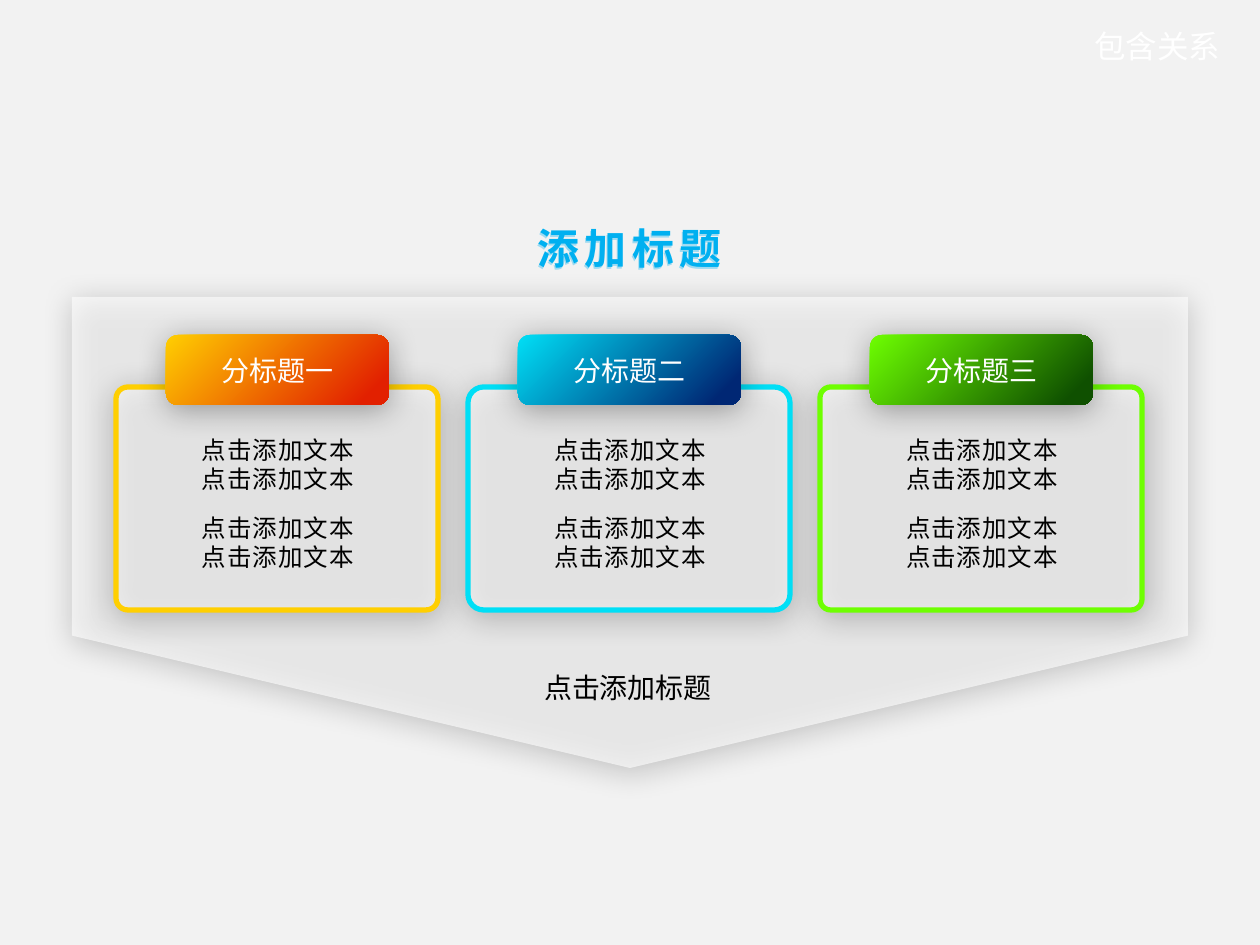
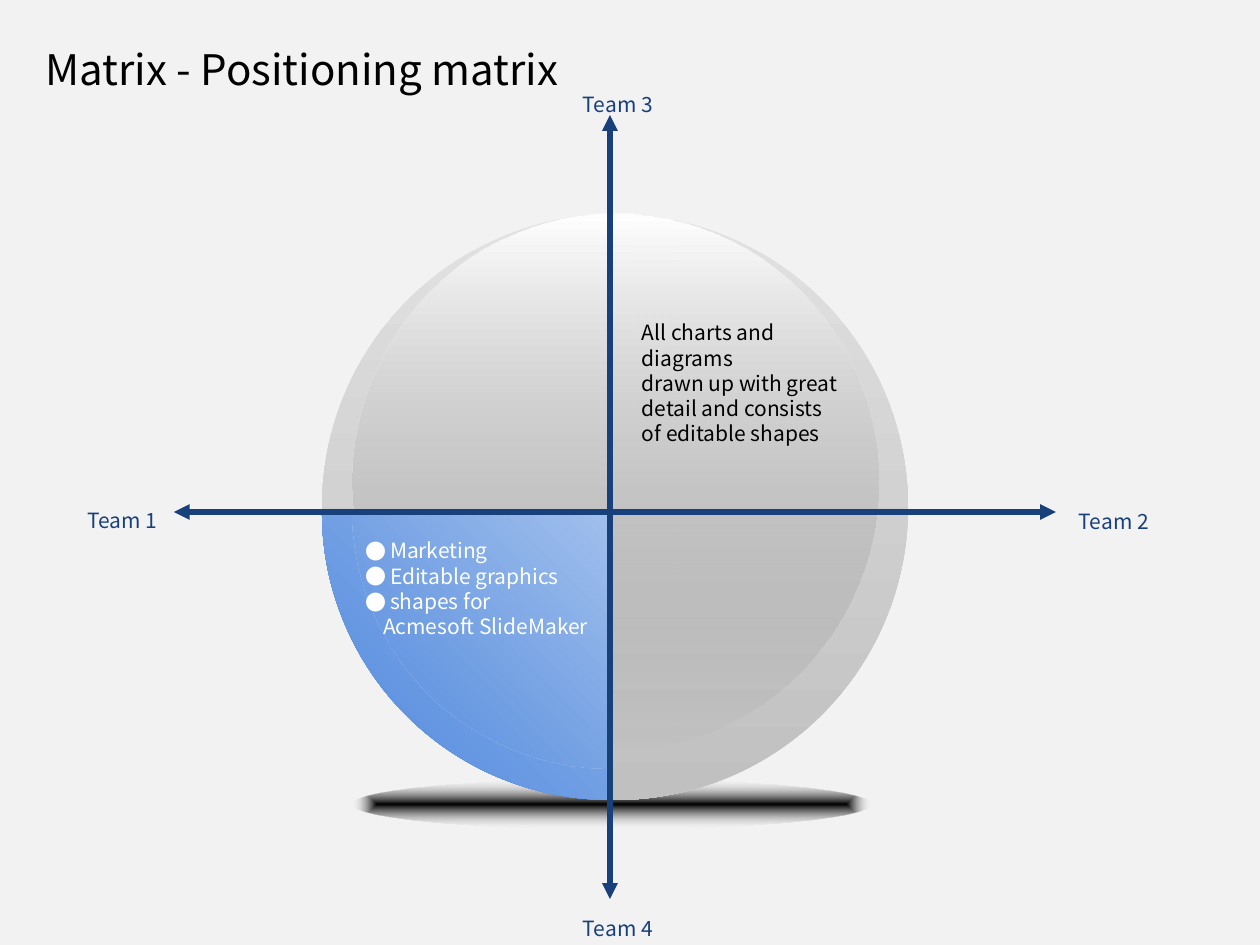
from math import cos, radians, sin

from pptx import Presentation
from pptx.dml.color import RGBColor
from pptx.enum.shapes import MSO_CONNECTOR, MSO_SHAPE
from pptx.enum.text import MSO_ANCHOR, PP_ALIGN
from pptx.oxml import parse_xml
from pptx.oxml.ns import nsdecls, qn
from pptx.util import Inches, Pt

PX = Inches(1) // 126

PALE = RGBColor(0xF2, 0xF2, 0xF2)
WHITE = RGBColor(0xFF, 0xFF, 0xFF)
BLACK = RGBColor(0x00, 0x00, 0x00)
SKY = RGBColor(0x00, 0xB0, 0xF0)
NAVY = RGBColor(0x18, 0x40, 0x7B)
YELLOW = RGBColor(0xFF, 0xCF, 0x01)
RED = RGBColor(0xE2, 0x20, 0x00)
CYAN = RGBColor(0x00, 0xDF, 0xF6)
DEEP_BLUE = RGBColor(0x00, 0x27, 0x74)
LIME = RGBColor(0x6E, 0xFF, 0x01)
DARK_GREEN = RGBColor(0x0F, 0x50, 0x00)
BLUE = RGBColor(0x4F, 0x88, 0xDD)
MID_BLUE = RGBColor(0x92, 0xB5, 0xEA)
SOFT_BLUE = RGBColor(0xA7, 0xC4, 0xEE)
HAZE = RGBColor(0xEA, 0xEA, 0xEA)
SILVER = RGBColor(0xE1, 0xE1, 0xE1)
GREY = RGBColor(0xC0, 0xC0, 0xC0)
DARK_GREY = RGBColor(0x76, 0x76, 0x76)

CHINESE = "Noto Sans CJK SC"
LATIN = "Noto Sans CJK KR"
CENTER = {"alignment": PP_ALIGN.CENTER}
MIDDLE = {"vertical_anchor": MSO_ANCHOR.MIDDLE}


def set_all(target, values):
    for name, value in values.items():
        setattr(target, name, value)


def emu(*lengths):
    return [round(length * PX) for length in lengths]


def place(shape, box):
    set_all(shape, dict(zip(("left", "top", "width", "height"), emu(*box))))


def color_xml(color, alpha=100):
    return f'<a:srgbClr val="{color}"><a:alpha val="{alpha * 1000}"/></a:srgbClr>'


def replace_fill(shape, xml):
    shape.fill.background()
    properties = shape._element.spPr
    properties.replace(properties.find(qn("a:noFill")), parse_xml(xml))


def fill_clear(shape, color, alpha):
    replace_fill(shape, f'<a:solidFill {nsdecls("a")}>{color_xml(color, alpha)}</a:solidFill>')


def fill_gradient(shape, stops, angle=None):
    """Fill with (position, color, alpha) stops; without an angle the fill follows the outline."""
    colors = "".join(f'<a:gs pos="{position * 1000}">{color_xml(*color)}</a:gs>'
                     for position, *color in stops)
    if angle is None:
        course = ('<a:path path="shape"><a:fillToRect l="50000" t="50000" '
                  'r="50000" b="50000"/></a:path>')
    else:
        course = f'<a:lin ang="{angle * 60000}" scaled="0"/>'
    replace_fill(shape, f'<a:gradFill {nsdecls("a")} rotWithShape="1">'
                        f'<a:gsLst>{colors}</a:gsLst>{course}</a:gradFill>')


def cast_shadow(shape, color=BLACK, alpha=33, blur=17.8, distance=3, angle=87):
    shape.shadow.inherit = False
    effects = shape._element.spPr.find(qn("a:effectLst"))
    effects.append(parse_xml(
        f'<a:outerShdw {nsdecls("a")} blurRad="{Pt(blur)}" dist="{Pt(distance)}" '
        f'dir="{angle * 60000}" algn="ctr" rotWithShape="0">{color_xml(color, alpha)}</a:outerShdw>'))


def add_plain(slide, kind, box, adjust=None):
    shape = slide.shapes.add_shape(kind, *emu(*box))
    shape.shadow.inherit = False
    shape.line.fill.background()
    if adjust is not None:
        shape.adjustments[0] = adjust
    return shape


def write(shape, lines, size, color, font, paragraph=None, frame=None, bold=False, spacing=0):
    """Write one paragraph for each line, without insets."""
    text = shape.text_frame
    text.text = "\n".join(lines)
    set_all(text, {"word_wrap": True, "margin_left": 0, "margin_right": 0, "margin_top": 0,
                   "margin_bottom": 0, "vertical_anchor": MSO_ANCHOR.TOP, **(frame or {})})
    for para in text.paragraphs:
        set_all(para, {"space_before": Pt(0), "line_spacing": 1.0,
                       "alignment": PP_ALIGN.LEFT, **(paragraph or {})})
        for span in para.runs:
            set_all(span.font, {"size": Pt(size), "bold": bold, "name": font})
            span.font.color.rgb = color
            properties = span.font._element
            properties.set("spc", str(round(spacing * 100)))
            properties.append(parse_xml(f'<a:ea {nsdecls("a")} typeface="{font}"/>'))


def add_text(slide, box, lines, *args, **options):
    write(slide.shapes.add_textbox(*emu(*box)), lines, *args, **options)


def add_title(slide, box, text, *args, **options):
    title = slide.shapes.title
    place(title, box)
    write(title, [text], *args, **options)
    return title


def set_bullet(para, indent, char=None):
    properties = para._p.get_or_add_pPr()
    properties.set("marL", str(indent * PX))
    properties.set("indent", str(-indent * PX if char else 0))
    if char:
        marks = [f'buFont {nsdecls("a")} typeface="{LATIN}"', f'buChar {nsdecls("a")} char="{char}"']
    else:
        marks = [f'buNone {nsdecls("a")}']
    for mark in marks:
        properties.append(parse_xml(f"<a:{mark}/>"))


def add_down_arrow_panel(slide, left, top, width, height):
    """A pentagon whose tip points down, fitted to the box after its quarter turn."""
    shift = (width - height) / 2
    panel = add_plain(slide, MSO_SHAPE.PENTAGON,
                      (left + shift, top - shift, height, width), 0.281)
    panel.rotation = 90
    fill_clear(panel, WHITE, 60)
    cast_shadow(panel)


def add_card(slide, left, top, heading, start, end, corner):
    frame = add_plain(slide, MSO_SHAPE.ROUNDED_RECTANGLE, (left, top + 52, 322, 223), corner)
    fill_clear(frame, WHITE, 60)
    frame.line.color.rgb = start
    frame.line.width = Pt(3)
    cast_shadow(frame)
    tag = add_plain(slide, MSO_SHAPE.ROUNDED_RECTANGLE, (left + 50, top, 223, 70))
    fill_gradient(tag, [(0, start), (90, end)], 45)
    cast_shadow(tag)
    write(tag, [heading], 16, WHITE, CHINESE, CENTER, MIDDLE)
    for block in range(2):
        add_text(slide, (left + 5, top + 100 + 78 * block, 314, 60), ["点击添加文本"] * 2,
                 14, BLACK, CHINESE, CENTER, spacing=0.5)


def build_inclusion(deck):
    slide = deck.slides.add_slide(deck.slide_layouts[5])
    title = add_title(slide, (336, 216, 587, 63), "添加标题", 24, SKY, CHINESE,
                      CENTER, MIDDLE, bold=True, spacing=3)
    cast_shadow(title, SKY, 35, 0, 1.5, 110)
    add_text(slide, (1020, 23, 200, 45), ["包含关系"], 18, WHITE, CHINESE,
             {"alignment": PP_ALIGN.RIGHT}, MIDDLE)
    add_down_arrow_panel(slide, 72, 297, 1116, 471)
    cards = [("分标题一", YELLOW, RED, 0.053),
             ("分标题二", CYAN, DEEP_BLUE, 0.07),
             ("分标题三", LIME, DARK_GREEN, 0.048)]
    for index, card in enumerate(cards):
        add_card(slide, 116 + 352 * index, 335, *card)
    add_text(slide, (414, 664, 428, 47), ["点击添加标题"], 16, BLACK, CHINESE, CENTER, MIDDLE)


def add_sector(slide, center_x, center_y, radius, stops):
    """The lower left quarter of a disc."""
    arc = [(center_x + radius * cos(radians(angle)), center_y + radius * sin(radians(angle)))
           for angle in range(90, 181, 2)]
    builder = slide.shapes.build_freeform(*emu(center_x, center_y))
    builder.add_line_segments([emu(*point) for point in arc], close=True)
    sector = builder.convert_to_shape()
    sector.shadow.inherit = False
    sector.line.fill.background()
    fill_gradient(sector, stops, 315)


def add_axis(slide, *ends):
    axis = slide.shapes.add_connector(MSO_CONNECTOR.STRAIGHT, *emu(*ends))
    axis.line.color.rgb = NAVY
    axis.line.width = Pt(3)
    for end in ("headEnd", "tailEnd"):
        axis.line._ln.append(parse_xml(f'<a:{end} {nsdecls("a")} type="triangle"/>'))
    axis._element.spPr.append(parse_xml(f'<a:effectLst {nsdecls("a")}/>'))


def add_globe(slide, left, top, size):
    ovals = [((left + 31, top + 566, 517, 49), [(0, BLACK), (100, HAZE, 0)], None),
             ((left, top, size, size), [(0, SILVER), (100, GREY)], 90),
             ((left + 31, top, 525, 536), [(0, WHITE), (100, DARK_GREY, 0)], 90)]
    for box, stops, angle in ovals:
        fill_gradient(add_plain(slide, MSO_SHAPE.OVAL, box), stops, angle)
    center = left + 288, top + 298
    add_sector(slide, *center, 288, [(0, BLUE), (100, MID_BLUE)])
    add_sector(slide, *center, 257, [(0, BLUE, 50), (100, SOFT_BLUE, 75)])


def add_quadrant_list(slide, box):
    body = slide.placeholders[1]
    place(body, box)
    lines = ["Marketing", "Editable graphics", "shapes for", "Acmesoft SlideMaker"]
    write(body, lines, 12, WHITE, LATIN)
    *items, last = body.text_frame.paragraphs
    for para in items:
        set_bullet(para, 25, "●")
    set_bullet(last, 18)
    slide.shapes._spTree.append(body._element)


def build_matrix(deck):
    slide = deck.slides.add_slide(deck.slide_layouts[1])
    add_title(slide, (22, 43, 560, 55), "Matrix - Positioning matrix", 24, BLACK, LATIN, CENTER)
    add_globe(slide, 322, 214, 586)
    add_axis(slide, 174, 512, 1056, 512)
    add_axis(slide, 610, 115, 610, 899)
    add_quadrant_list(slide, (365, 538, 245, 104))
    add_text(slide, (642, 320, 215, 130),
             ["All charts and", "diagrams", "drawn up with great",
              "detail and consists", "of editable shapes"], 12, BLACK, LATIN)
    corners = [(87, 508), (1079, 509), (583, 92), (583, 916)]
    for number, corner in enumerate(corners, 1):
        add_text(slide, (*corner, 80, 25), [f"Team {number}"], 12, NAVY, LATIN)


def main():
    deck = Presentation()
    deck.slide_width, deck.slide_height = Inches(10), Inches(7.5)
    background = deck.slide_master.background.fill
    background.solid()
    background.fore_color.rgb = PALE
    build_inclusion(deck)
    build_matrix(deck)
    deck.save("out.pptx")


if __name__ == "__main__":
    main()
